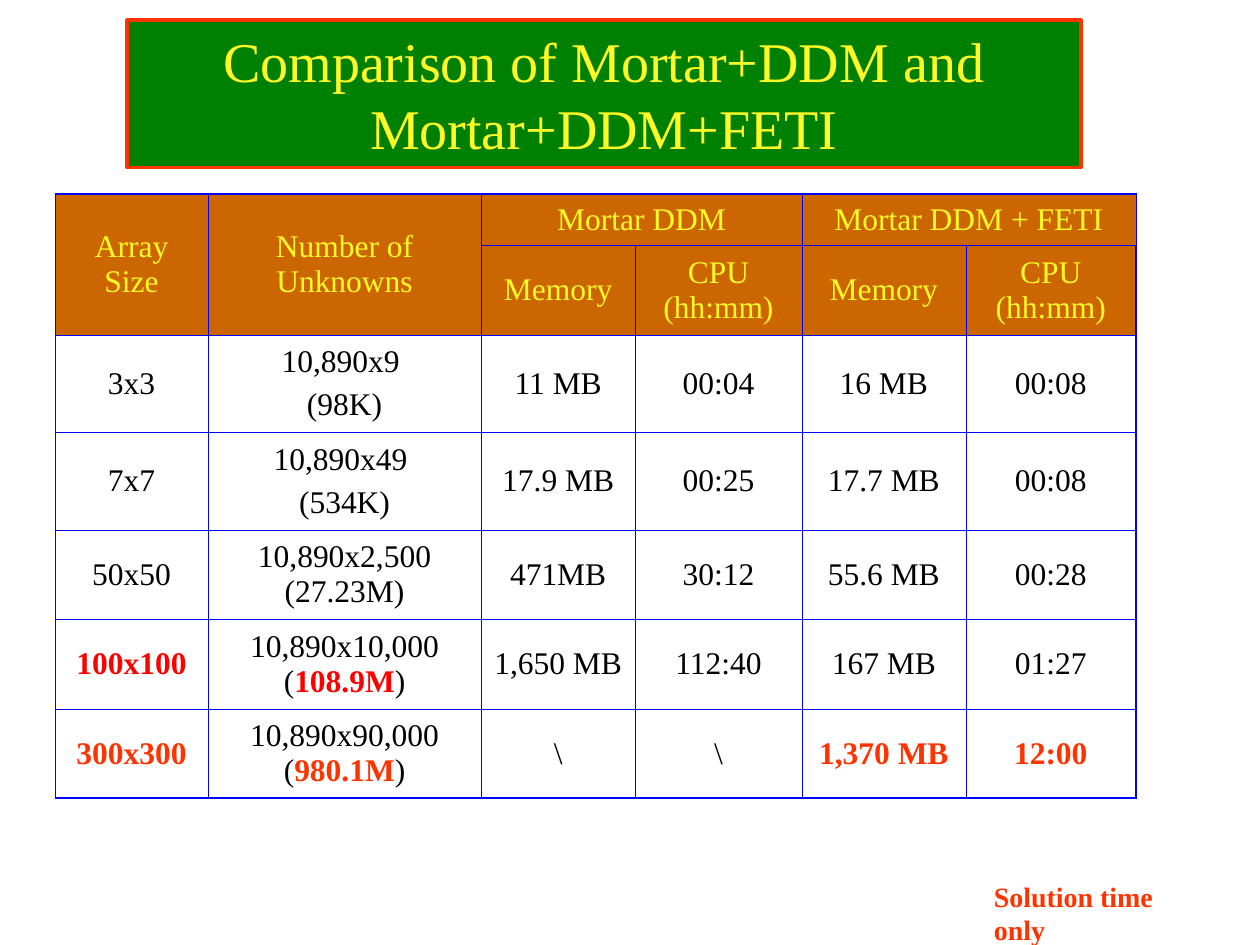
"""Build the slide comparing Mortar+DDM with Mortar+DDM+FETI."""
import pptx
import pptx.util
import pptx.dml.color
import pptx.enum.text
import pptx.oxml
import pptx.oxml.ns

Pt = pptx.util.Pt
Align = pptx.enum.text.PP_ALIGN
Anchor = pptx.enum.text.MSO_ANCHOR
Fit = pptx.enum.text.MSO_AUTO_SIZE

HUES = {
    "green": "008000",
    "yellow": "FFFA27",
    "orange": "FF3300",
    "brown": "CC6600",
    "blue": "0000FF",
    "black": "000000",
    "red": "FF0000",
}
COLS = [87, 156.4, 87.8, 95.4, 93.6, 97.2]
ROWS = [29.4, 51, 55.8, 55.8, 51.1, 51.1, 51.1]
HEADS = [
    ["Array Size", "Number of Unknowns", "Mortar DDM", "", "Mortar DDM + FETI", ""],
    ["", "", "Memory", "CPU (hh:mm)", "Memory", "CPU (hh:mm)"],
]
SPANS = [(0, 0, 1, 0), (0, 1, 1, 1), (0, 2, 0, 3), (0, 4, 0, 5)]
CASES = [
    ["3x3", "10,890x9 \n(98K)", "11 MB", "00:04", "16 MB", "00:08"],
    ["7x7", "10,890x49 \n(534K)", "17.9 MB", "00:25", "17.7 MB", "00:08"],
    ["50x50", "10,890x2,500 (27.23M)", "471MB", "30:12", "55.6 MB", "00:28"],
    ["*100x100*", "10,890x10,000 (*108.9M*)", "1,650 MB", "112:40", "167 MB", "01:27"],
    ["*300x300*", "10,890x90,000 (*980.1M*)", "\\", "\\", "*1,370 MB*", "*12:00*"],
]
MARKS = ["red", "red", "red", "red", "orange"]


class Deck:
    """Hold the style and the current slide."""

    def __init__(self, font):
        self.font = font
        self.file = pptx.Presentation()
        self.file.slide_width, self.file.slide_height = Pt(720), Pt(540)
        self.slide = self.file.slides.add_slide(self.file.slide_layouts[5])

    def hue(self, name):
        return pptx.dml.color.RGBColor.from_string(HUES[name])

    def style(self, run, size, hue, bold=False):
        run.font.name, run.font.size, run.font.bold = self.font, Pt(size), bold
        run.font.color.rgb = self.hue(hue)

    def title(self, text, box):
        shape = self.slide.shapes.title
        shape.left, shape.top, shape.width, shape.height = map(Pt, box)
        shape.fill.solid()
        shape.fill.fore_color.rgb = self.hue("green")
        shape.line.color.rgb = self.hue("orange")
        shape.line.width = Pt(2)
        frame = shape.text_frame
        frame.text = text
        frame.auto_size = Fit.NONE
        frame.vertical_anchor = Anchor.MIDDLE
        frame.paragraphs[0].alignment = Align.CENTER
        self.style(frame.paragraphs[0].runs[0], 32, "yellow")

    def note(self, text, box):
        frame = self.slide.shapes.add_textbox(*map(Pt, box)).text_frame
        frame.text = text
        frame.word_wrap = False
        frame.auto_size = Fit.SHAPE_TO_FIT_TEXT
        self.style(frame.paragraphs[0].runs[0], 16, "orange", True)

    def edge(self, cell, side, width):
        space = pptx.oxml.ns.nsdecls("a")
        cell._tc.get_or_add_tcPr().append(pptx.oxml.parse_xml(
            f'<a:ln{side} {space} w="{Pt(width)}"><a:solidFill>'
            f'<a:srgbClr val="{HUES["blue"]}"/></a:solidFill></a:ln{side}>'))

    def label(self, cell, text, hue, mark):
        cell.vertical_anchor = Anchor.MIDDLE
        frame = cell.text_frame
        for i, line in enumerate(text.split("\n")):
            para = frame.add_paragraph() if i else frame.paragraphs[0]
            para.alignment = Align.CENTER
            if i:
                para.space_before = Pt(4.5)
            for j, part in enumerate(line.split("*")):
                if part:
                    run = para.add_run()
                    run.text = part
                    self.style(run, 18, mark if j % 2 else hue, j % 2 == 1)

    def table(self, left, top):
        rows = HEADS + CASES
        grid = self.slide.shapes.add_table(
            len(ROWS), len(COLS), Pt(left), Pt(top), Pt(sum(COLS)), Pt(sum(ROWS))).table
        grid.first_row = grid.horz_banding = False
        for col, width in zip(grid.columns, COLS):
            col.width = Pt(width)
        for row, height in zip(grid.rows, ROWS):
            row.height = Pt(height)
        for r, row in enumerate(rows):
            head = r < len(HEADS)
            mark = "yellow" if head else MARKS[r - len(HEADS)]
            for c, text in enumerate(row):
                cell = grid.cell(r, c)
                rims = {"L": c == 0, "R": c == len(COLS) - 1,
                        "T": r == 0, "B": r == len(ROWS) - 1}
                for side, rim in rims.items():
                    self.edge(cell, side, 1.08 if rim else 0.23)
                if head:
                    cell.fill.solid()
                    cell.fill.fore_color.rgb = self.hue("brown")
                else:
                    cell.fill.background()
                self.label(cell, text, "yellow" if head else "black", mark)
        for r, c, last, end in SPANS:
            grid.cell(r, c).merge(grid.cell(last, end))


def main():
    deck = Deck("Times New Roman")
    deck.title("Comparison of Mortar+DDM and Mortar+DDM+FETI", (72.7, 11.5, 545, 84.2))
    deck.table(31.7, 110.9)
    deck.note("Solution time only", (560.9, 499, 138.2, 26.6))
    deck.file.save("out.pptx")


if __name__ == "__main__":
    main()
